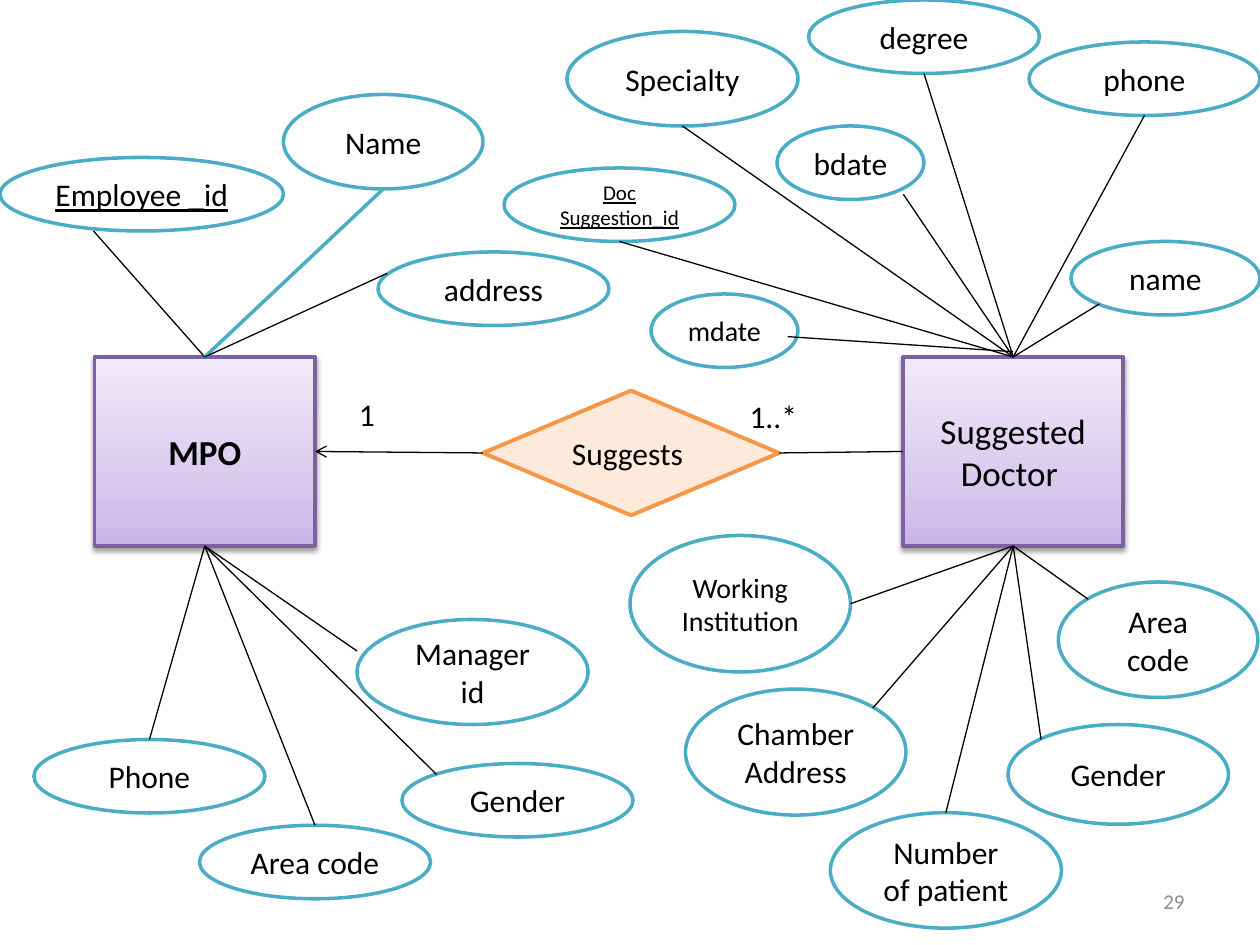
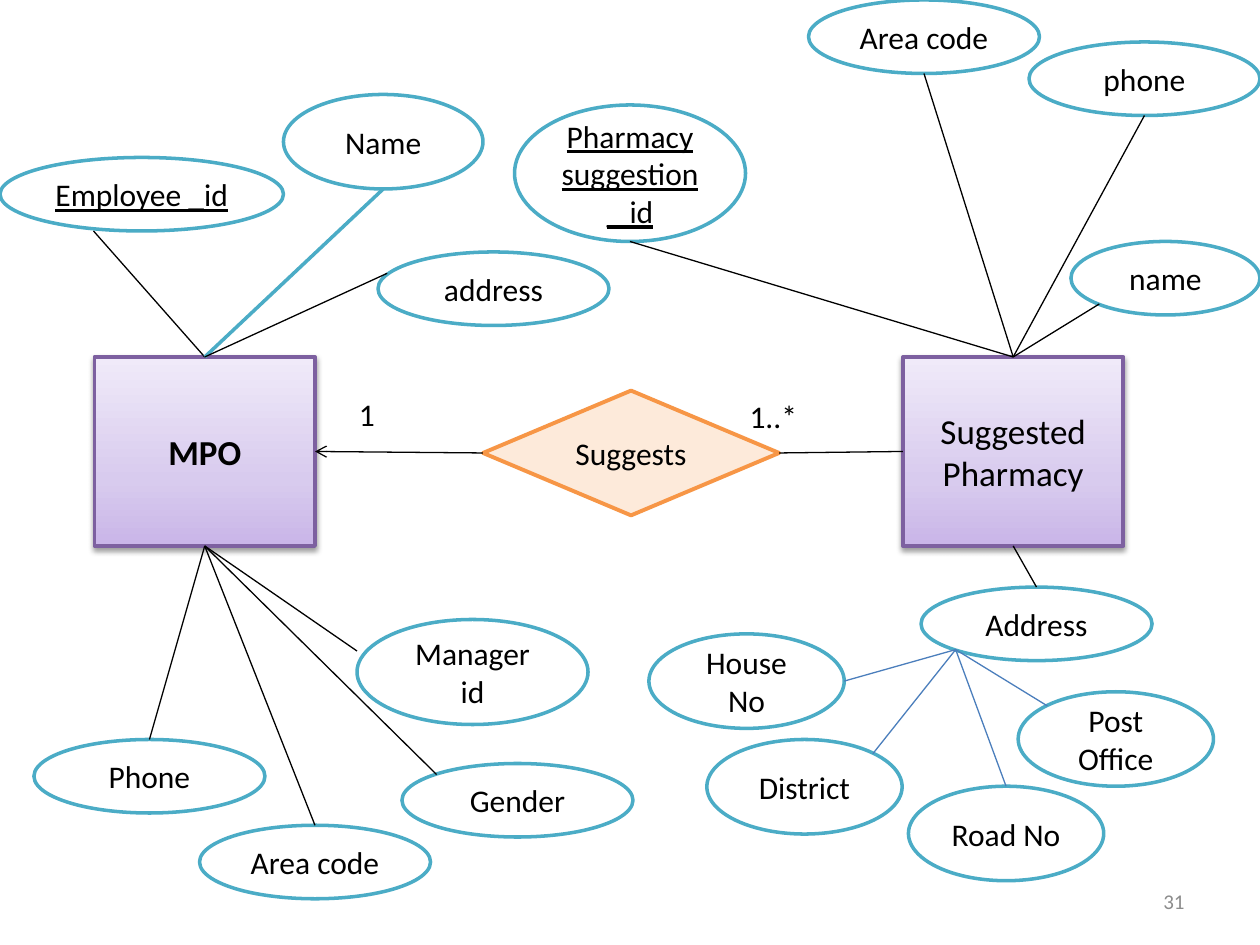
from copy import deepcopy
from dataclasses import dataclass

from lxml.etree import SubElement
from pptx import Presentation
from pptx.dml.color import RGBColor
from pptx.enum.shapes import MSO_CONNECTOR, MSO_SHAPE
from pptx.enum.text import MSO_ANCHOR, PP_ALIGN
from pptx.oxml import parse_xml
from pptx.oxml.ns import nsdecls, qn
from pptx.util import Pt

# Shared look
BLACK = RGBColor(0x00, 0x00, 0x00)
WHITE = RGBColor(0xFF, 0xFF, 0xFF)
GRAY = RGBColor(0x8C, 0x8C, 0x8C)
TEAL = RGBColor(0x4B, 0xAC, 0xC6)
BLUE = RGBColor(0x4B, 0x7E, 0xBC)
PURPLE = RGBColor(0x7D, 0x60, 0xA0)
ORANGE = RGBColor(0xF7, 0x96, 0x46)
PEACH = RGBColor(0xFD, 0xEA, 0xDA)
LILACS = [(0, RGBColor(0xC9, 0xB5, 0xE8)),
          (0.35, RGBColor(0xD8, 0xCB, 0xEE)),
          (1, RGBColor(0xF0, 0xEA, 0xF9))]
FONT = "Calibri"

# Points of an oval where a link may end, as fractions of its box
TOP, BOTTOM, RIGHT = (0.5, 0), (0.5, 1), (1, 0.5)
TOP_LEFT, TOP_RIGHT, BOTTOM_LEFT = (0.15, 0.15), (0.85, 0.15), (0.15, 0.85)

ENTITY_W, ENTITY_H = 126, 108
MPO_BOX = (54, 204, ENTITY_W, ENTITY_H)
SUGGESTED_BOX = (516, 204, ENTITY_W, ENTITY_H)
SUGGESTS_BOX = (276, 223.2, 169.2, 71.3)


@dataclass
class Attr:
    """Oval attribute; x and y count from the corner of its owner."""
    text: str
    x: float
    y: float
    link: tuple
    w: float = 132
    h: float = 42
    size: float = 18
    key: bool = False
    color: RGBColor = BLACK
    weight: float = 0.75
    lift: float = 0


MPO_ABOVE = [
    Attr("Employee _id", -54, -114, (0.33, 1), w=162, key=True),
    Attr("Name", 108, -150, BOTTOM, w=114, h=54, color=TEAL, weight=2),
    Attr("address", 162, -60, (0.04, 0.29)),
]
MPO_BELOW = [
    Attr("Gender", 175.7, 232.3, TOP_LEFT),
    Attr("Phone", -34.6, 218.6, TOP),
    Attr("Area code", 60, 267.6, TOP),
    Attr("Manager id", 150, 150, (0, 0.3), h=60),
]
SUGGESTED_ABOVE = [
    Attr("phone", 72, -180, BOTTOM),
    Attr("name", 96, -66, BOTTOM_LEFT, w=108),
]
DOCTOR_ABOVE = SUGGESTED_ABOVE + [
    Attr("Specialty", -192, -186, BOTTOM, h=54),
    Attr("Doc Suggestion_id", -228, -108, BOTTOM, size=12, key=True),
    Attr("degree", -54, -204, BOTTOM),
    Attr("bdate", -72, -132, (0.86, 0.93), w=84),
    Attr("mdate", -144, -36, (0.93, 0.58), w=84, size=16, lift=3),
]
DOCTOR_BELOW = [
    Attr("Area code", 88.8, 128.6, TOP_LEFT, w=114, h=66),
    Attr("Gender", 60, 210, TOP_LEFT, w=126, h=57),
    Attr("Chamber Address", -124.3, 189.8, TOP_RIGHT, w=126, h=72),
    Attr("Working Institution", -156, 102, RIGHT, w=126, h=78, size=16),
    Attr("Number of patient", -41.5, 260.4, TOP, h=66),
]
PHARMACY_ABOVE = SUGGESTED_ABOVE + [
    Attr("Pharmacy\vsuggestion_ id", -222, -144, BOTTOM, h=78, key=True),
    Attr("Area code", -54, -204, BOTTOM),
]
PHARMACY_ADDRESS = Attr("Address", 10.3, 131.5, TOP)
ADDRESS_PARTS = [
    Attr(text, x, y, link, w=111.6, h=54, color=BLUE)
    for text, x, y, link in [
        ("House No", -155.5, 26.7, RIGHT),
        ("Road No", -7.2, 113.8, TOP),
        ("District", -122.4, 87.1, TOP_RIGHT),
        ("Post Office", 55.5, 59.8, TOP_LEFT),
    ]
]


def point_on(box, spot):
    x, y, w, h = box
    return x + w * spot[0], y + h * spot[1]


def write(tf, text, size, color=BLACK, align=PP_ALIGN.CENTER,
          bold=False, underline=False):
    """A newline starts a paragraph, a vertical tab breaks the line."""
    tf.word_wrap = True
    for i, para in enumerate(text.split("\n")):
        p = tf.add_paragraph() if i else tf.paragraphs[0]
        p.alignment = align
        for j, line in enumerate(para.split("\v")):
            if j:
                p.add_line_break()
            r = p.add_run()
            r.text = line
            font = r.font
            font.name, font.size, font.color.rgb = FONT, Pt(size), color
            font.bold, font.underline = bold, underline


def add_label(s, box, text, size, **style):
    sp = s.shapes.add_textbox(*map(Pt, box))
    write(sp.text_frame, text, size, **style)
    return sp


def add_box(s, kind, box, line, weight, text, size, fill=None, **style):
    sp = s.shapes.add_shape(kind, *map(Pt, box))
    sp.shadow.inherit = False
    if fill is not None:
        sp.fill.solid()
        sp.fill.fore_color.rgb = fill
    sp.line.color.rgb, sp.line.width = line, Pt(weight)
    sp.text_frame.vertical_anchor = MSO_ANCHOR.MIDDLE
    write(sp.text_frame, text, size, **style)
    return sp


def add_link(s, start, end, color=BLACK, weight=0.75, arrow=False):
    ends = map(Pt, (*start, *end))
    cn = s.shapes.add_connector(MSO_CONNECTOR.STRAIGHT, *ends)
    cn.line.color.rgb, cn.line.width = color, Pt(weight)
    if arrow:
        SubElement(cn.line._get_or_add_ln(), qn("a:tailEnd"), type="arrow")
    SubElement(cn._element.spPr, qn("a:effectLst"))


def add_attributes(s, owner, hub, attrs):
    """Ovals around the owner box, each linked to the hub point."""
    for a in attrs:
        box = (owner[0] + a.x, owner[1] + a.y, a.w, a.h)
        add_box(s, MSO_SHAPE.OVAL, box, TEAL, 2, a.text, a.size,
                fill=WHITE, underline=a.key)
        add_link(s, point_on(box, a.link), (hub[0], hub[1] - a.lift),
                 a.color, a.weight)


def add_entity(s, box, text, above, below, bold=False):
    sp = add_box(s, MSO_SHAPE.RECTANGLE, box, PURPLE, 2.25, text, 20,
                 bold=bold)
    # Three-stop gradient, darkest at the foot
    sp.fill.gradient()
    sp.fill.gradient_angle = 90
    spPr = sp._element.spPr
    stops = spPr.find(qn("a:gradFill")).find(qn("a:gsLst"))
    stops.append(deepcopy(stops[0]))
    for stop, (position, color) in zip(sp.fill.gradient_stops, LILACS):
        stop.position, stop.color.rgb = position, color
    # Soft shadow below
    spPr.find(qn("a:effectLst")).append(parse_xml(
        f'<a:outerShdw {nsdecls("a")} blurRad="40000" dist="20000" '
        'dir="5400000" rotWithShape="0"><a:srgbClr val="000000">'
        '<a:alpha val="38000"/></a:srgbClr></a:outerShdw>'))
    add_attributes(s, box, point_on(box, TOP), above)
    add_attributes(s, box, point_on(box, BOTTOM), below)


def add_relationship(s, box, text, left_entity, right_entity):
    x, y, _, _ = box
    add_box(s, MSO_SHAPE.FLOWCHART_DECISION, box, ORANGE, 2.25, text, 18,
            fill=PEACH)
    add_link(s, point_on(box, RIGHT), point_on(right_entity, (0, 0.5)))
    add_link(s, point_on(box, (0, 0.5)), point_on(left_entity, RIGHT),
             arrow=True)
    # Cardinalities
    for dx, dy, count in [(-78, -1.2, "1"), (145.2, 0, "1..*")]:
        add_label(s, (x + dx, y + dy, 48, 29), count, 18,
                  align=PP_ALIGN.LEFT)


def add_diagram(prs, number, suggests, suggested, above, below):
    s = prs.slides.add_slide(prs.slide_layouts[6])
    sp = add_label(s, (516, 500.5, 168, 28.8), number, 12, color=GRAY,
                   align=PP_ALIGN.RIGHT)
    sp.text_frame.vertical_anchor = MSO_ANCHOR.MIDDLE
    add_entity(s, MPO_BOX, "MPO", MPO_ABOVE, MPO_BELOW, bold=True)
    add_entity(s, SUGGESTED_BOX, suggested, above, below)
    add_relationship(s, SUGGESTS_BOX, suggests, MPO_BOX, SUGGESTED_BOX)
    return s


def main():
    prs = Presentation()
    prs.slide_width, prs.slide_height = Pt(720), Pt(540)

    # MPO and doctor
    add_diagram(prs, "29", "Suggests ", "Suggested\nDoctor ",
                DOCTOR_ABOVE, DOCTOR_BELOW)

    # MPO and pharmacy, whose address has parts of its own
    s = add_diagram(prs, "31", "Suggests", "Suggested Pharmacy",
                    PHARMACY_ABOVE, [PHARMACY_ADDRESS])
    address = PHARMACY_ADDRESS
    box = (SUGGESTED_BOX[0] + address.x, SUGGESTED_BOX[1] + address.y,
           address.w, address.h)
    add_attributes(s, box, point_on(box, BOTTOM_LEFT), ADDRESS_PARTS)

    prs.save("out.pptx")


if __name__ == "__main__":
    main()
